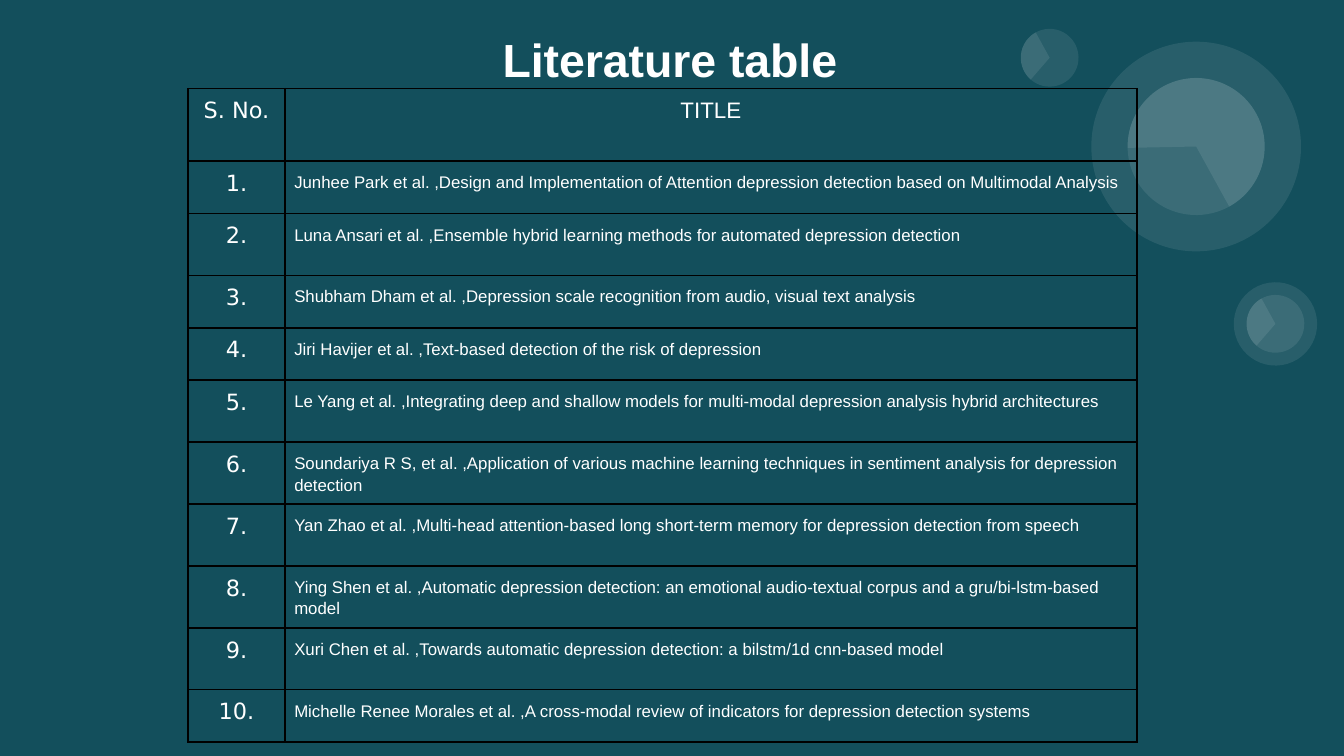
from dataclasses import dataclass
from typing import Optional

from lxml.etree import SubElement
from pptx import Presentation
from pptx.dml.color import RGBColor
from pptx.enum.shapes import MSO_SHAPE
from pptx.enum.text import MSO_ANCHOR, MSO_AUTO_SIZE, PP_ALIGN as Align
from pptx.oxml.ns import qn
from pptx.util import Inches, Pt

COLORS = {"background": "134F5C", "light": "FFFFFF", "border": "000000"}
TEXT_FONT = "Arial"
NUMBER_FONT = "DejaVu Sans"
VEIL_OPACITY = 9
SLIDE_WIDTH = 10
SLIDE_HEIGHT = SLIDE_WIDTH * 9 / 16


@dataclass(frozen=True)
class Disc:
    center_x: float
    center_y: float
    diameter: float
    rotation: float
    pie_angles: Optional[tuple[float, float]] = None


@dataclass(frozen=True)
class Study:
    title: str
    height: float
    align: Align = Align.LEFT


LARGE_PIE = (193.77, 123.14)
SMALL_PIE = (57, 123.14)

DISCS = [
    Disc(8.9, 1.09, 1.02, 215.9),
    Disc(8.9, 1.09, 1.02, 215.9, LARGE_PIE),
    Disc(8.9, 1.09, 1.56, 215.8),
    Disc(9.49, 2.41, 0.62, 35.9),
    Disc(9.49, 2.41, 0.43, 35.8),
    Disc(9.49, 2.41, 0.43, 35.8, SMALL_PIE),
    Disc(7.81, 0.43, 0.43, 35.8),
    Disc(7.81, 0.43, 0.43, 35.8, SMALL_PIE),
]

SHORT, TALL, HEADER = 0.39, 0.46, 0.54
COLUMN_WIDTHS = (0.72, 6.34)

STUDIES = [
    Study("Junhee Park et al. ,Design and Implementation of Attention depression detection "
          "based on Multimodal Analysis", SHORT, Align.JUSTIFY),
    Study("Luna Ansari et al. ,Ensemble hybrid learning methods for automated depression "
          "detection", TALL),
    Study("Shubham Dham et al. ,Depression scale recognition from audio, visual text analysis",
          SHORT),
    Study("Jiri Havijer et al. ,Text-based detection of the risk of depression", SHORT),
    Study("Le Yang et al. ,Integrating deep and shallow models for multi-modal depression "
          "analysis hybrid architectures", TALL),
    Study("Soundariya R S, et al. ,Application of various machine learning techniques in "
          "sentiment analysis for depression detection", TALL),
    Study("Yan Zhao et al. ,Multi-head attention-based long short-term memory for depression "
          "detection from speech", TALL),
    Study("Ying Shen et al. ,Automatic depression detection: an emotional audio-textual corpus "
          "and a gru/bi-lstm-based model", TALL),
    Study("Xuri Chen et al. ,Towards automatic depression detection: a bilstm/1d cnn-based "
          "model", TALL),
    Study("Michelle Renee Morales et al. ,A cross-modal review of indicators for depression "
          "detection systems", SHORT),
]


def color(name: str) -> RGBColor:
    return RGBColor.from_string(COLORS[name])


def write_text(frame, text: str, size: float, font: str, align: Align,
               bold: bool = False, spacing: Optional[float] = None) -> None:
    paragraph = frame.paragraphs[0]
    paragraph.alignment = align
    if spacing is not None:
        paragraph.line_spacing = spacing
    run = paragraph.add_run()
    run.text = text
    run.font.size = Pt(size)
    run.font.name = font
    run.font.bold = bold
    run.font.color.rgb = color("light")


def draw_disc(slide, disc: Disc) -> None:
    kind = MSO_SHAPE.PIE if disc.pie_angles else MSO_SHAPE.OVAL
    radius = disc.diameter / 2
    shape = slide.shapes.add_shape(
        kind, Inches(disc.center_x - radius), Inches(disc.center_y - radius),
        Inches(disc.diameter), Inches(disc.diameter))
    for index, angle in enumerate(disc.pie_angles or ()):
        shape.adjustments[index] = angle
    shape.rotation = disc.rotation
    shape.shadow.inherit = False
    shape.line.fill.background()
    shape.fill.solid()
    shape.fill.fore_color.rgb = color("light")
    fill_color = shape.fill._xPr.find(qn("a:solidFill"))[0]
    SubElement(fill_color, qn("a:alpha"), val=str(VEIL_OPACITY * 1000))


def place_title(slide) -> None:
    title = slide.shapes.title
    title.left, title.top = Inches(1.69), Inches(0.13)
    title.width, title.height = Inches(6.59), Inches(0.4)
    frame = title.text_frame
    frame.word_wrap = True
    frame.auto_size = MSO_AUTO_SIZE.NONE
    frame.vertical_anchor = MSO_ANCHOR.TOP
    frame.margin_left = frame.margin_right = Inches(0.1)
    frame.margin_top = frame.margin_bottom = Inches(0.1)
    write_text(frame, "Literature table", 24.9, TEXT_FONT, Align.CENTER, bold=True)


def format_cell(cell) -> None:
    properties = cell._tc.get_or_add_tcPr()
    for side in ("lnL", "lnR", "lnT", "lnB"):
        border = SubElement(properties, qn(f"a:{side}"), w=str(Pt(1)))
        fill = SubElement(border, qn("a:solidFill"))
        SubElement(fill, qn("a:srgbClr"), val=COLORS["border"])
    cell.fill.background()
    cell.margin_left = cell.margin_right = Inches(0.07)
    cell.margin_top = cell.margin_bottom = Inches(0.07)
    cell.vertical_anchor = MSO_ANCHOR.TOP


def draw_table(slide) -> None:
    heights = [HEADER] + [study.height for study in STUDIES]
    table = slide.shapes.add_table(
        len(heights), len(COLUMN_WIDTHS), Inches(1.4), Inches(0.66),
        Inches(sum(COLUMN_WIDTHS)), Inches(sum(heights))).table
    table.first_row = table.horz_banding = False
    for column, width in zip(table.columns, COLUMN_WIDTHS):
        column.width = Inches(width)
    for row, height in zip(table.rows, heights):
        row.height = Inches(height)
    for cell in table.iter_cells():
        format_cell(cell)
    write_text(table.cell(0, 0).text_frame, "S. No.", 12, NUMBER_FONT, Align.CENTER)
    write_text(table.cell(0, 1).text_frame, "TITLE", 12, TEXT_FONT, Align.CENTER)
    for number, study in enumerate(STUDIES, start=1):
        write_text(table.cell(number, 0).text_frame, f"{number}.", 12, NUMBER_FONT,
                   Align.CENTER)
        write_text(table.cell(number, 1).text_frame, study.title, 9, TEXT_FONT,
                   study.align, spacing=1.15)


def main() -> None:
    presentation = Presentation()
    presentation.slide_width = Inches(SLIDE_WIDTH)
    presentation.slide_height = Inches(SLIDE_HEIGHT)
    slide = presentation.slides.add_slide(presentation.slide_layouts[5])
    slide.background.fill.solid()
    slide.background.fill.fore_color.rgb = color("background")
    for disc in DISCS:
        draw_disc(slide, disc)
    place_title(slide)
    draw_table(slide)
    presentation.save("out.pptx")


if __name__ == "__main__":
    main()
